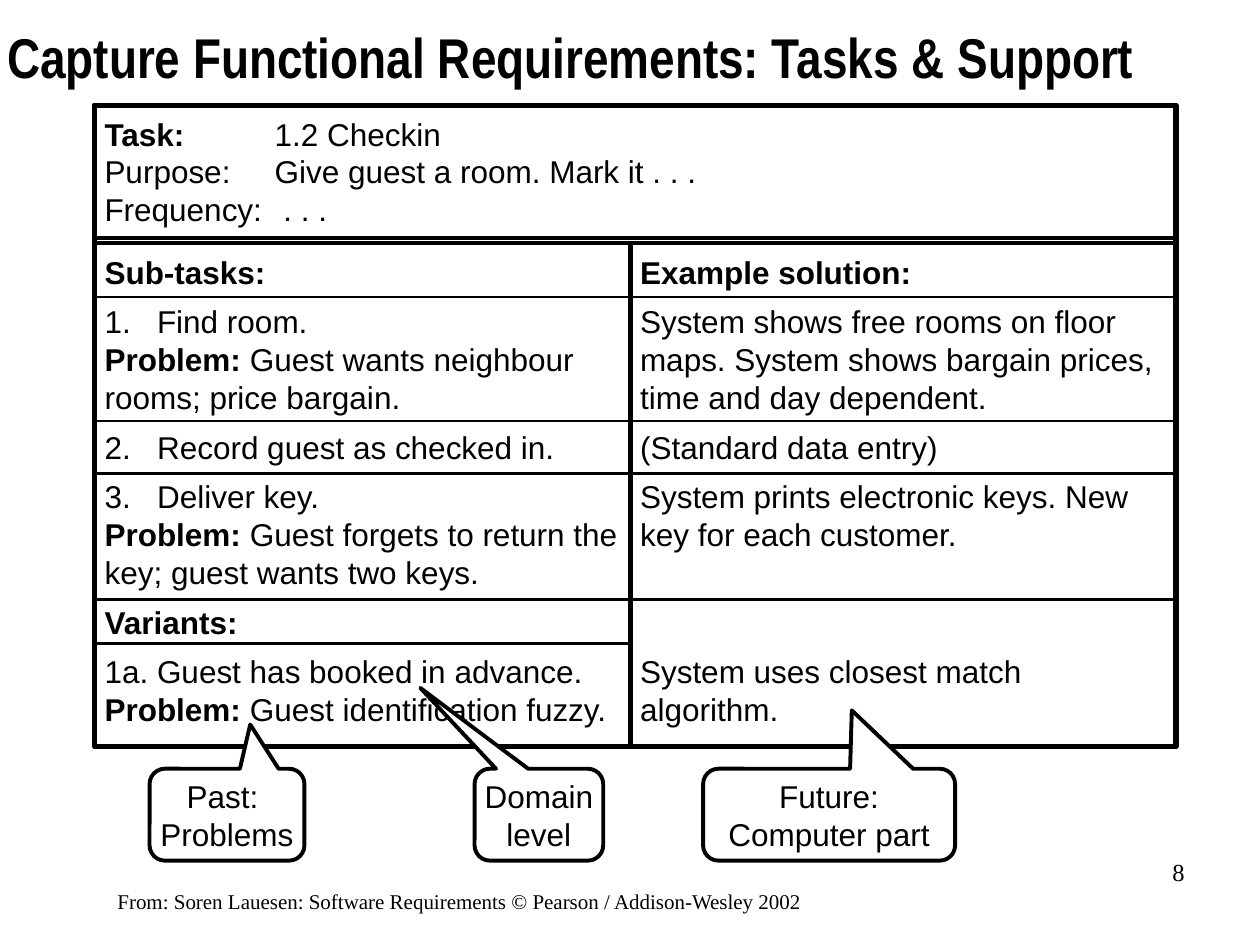
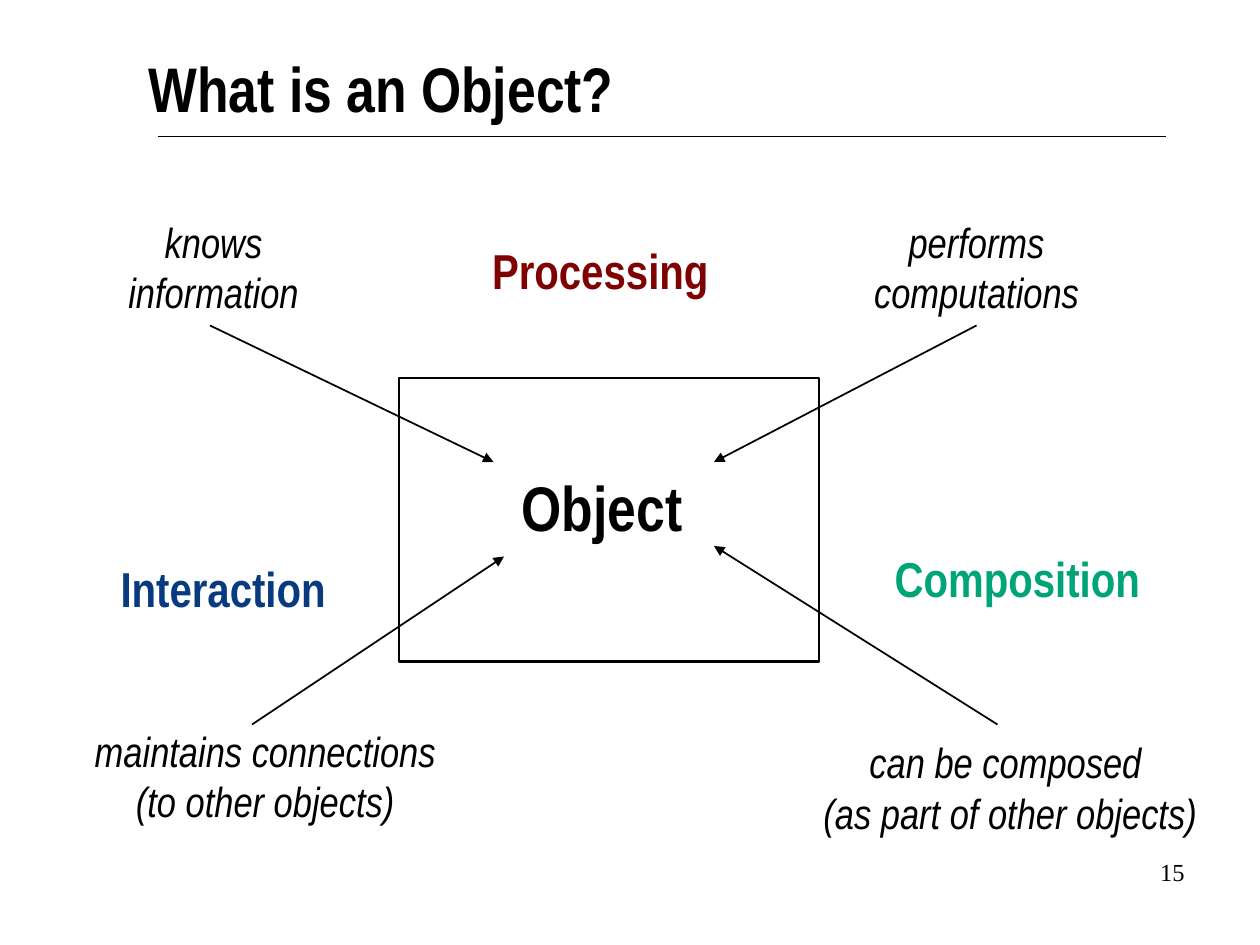
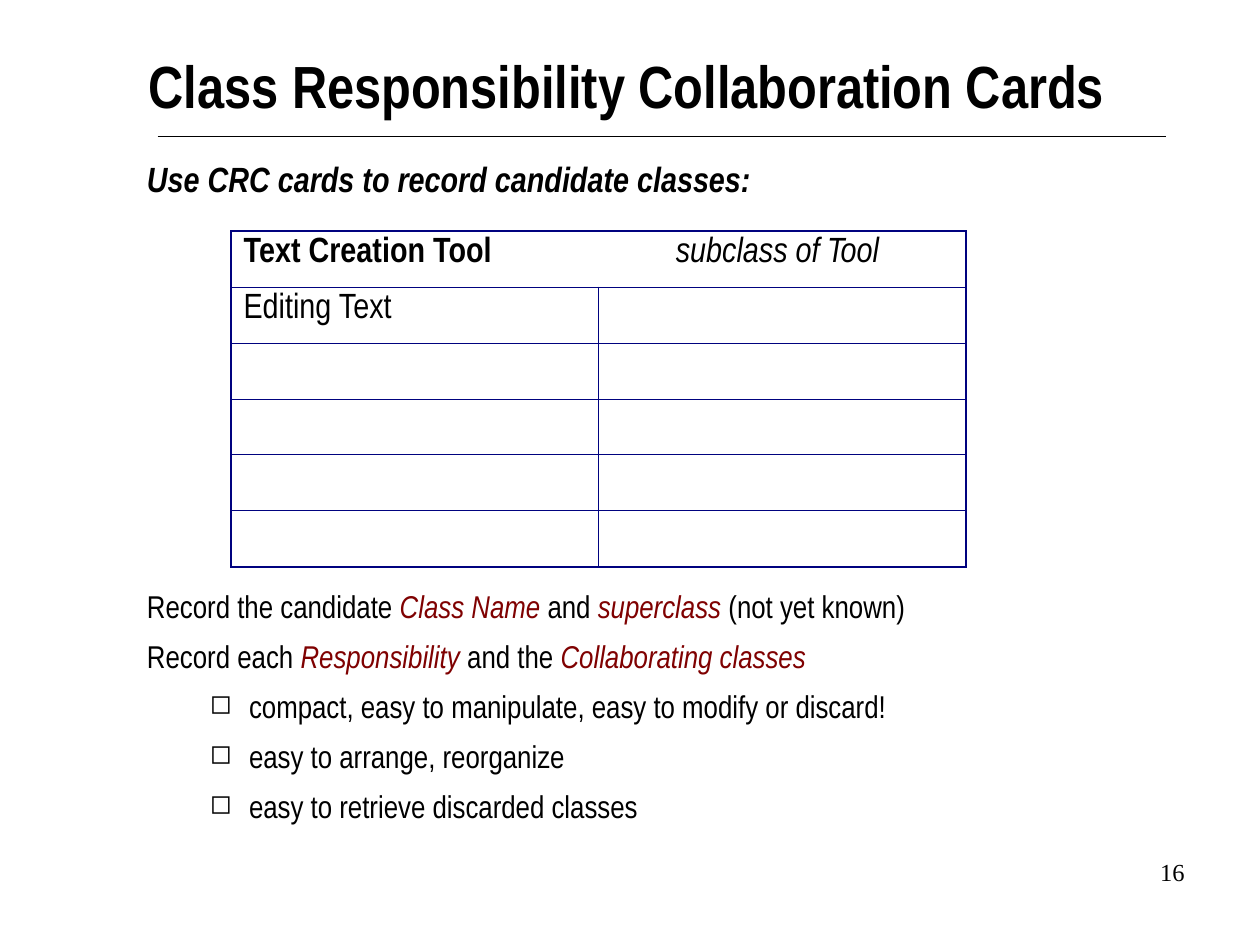
"""Build three slides on requirements, objects and CRC cards."""
from lxml import etree
from pptx import Presentation
from pptx.dml.color import RGBColor
from pptx.enum.shapes import MSO_CONNECTOR, MSO_SHAPE
from pptx.enum.text import MSO_ANCHOR, PP_ALIGN
from pptx.oxml.ns import qn
from pptx.util import Pt

RECT = MSO_SHAPE.RECTANGLE
CALLOUT = MSO_SHAPE.ROUNDED_RECTANGULAR_CALLOUT
STRAIGHT = MSO_CONNECTOR.STRAIGHT
LEFT, MID, RIGHT = PP_ALIGN.LEFT, PP_ALIGN.CENTER, PP_ALIGN.RIGHT
TOP, CENTRE = MSO_ANCHOR.TOP, MSO_ANCHOR.MIDDLE

BLACK, WHITE, RED, BLUE, GREEN, NAVY = "000000", "FFFFFF", "7F0101", "083A7F", "00A479", "00027F"
SANS, SLIM, SERIF = "Arial", "Arial Narrow", "Times New Roman"
BOLD, SLANT, TERM = {"bold": True}, {"italic": True}, {"italic": True, "color": RED}
GAP = {"after": 6.8}
PAD = (7.2, 3.6)

TASK = [
    [("Task:\t", BOLD), "1.2 Checkin"],
    "Purpose:\tGive guest a room. Mark it . . .",
    "Frequency:\t . . .",
]
STEPS = [
    ("Sub-tasks:", {**GAP, **BOLD}),
    "1.\tFind room.",
    ([("Problem:", BOLD), " Guest wants neighbour rooms; price bargain."], GAP),
    ("2.\tRecord guest as checked in.", GAP),
    "3.\tDeliver key.",
    ([("Problem:", BOLD), " Guest forgets to return the key; guest wants two keys."], GAP),
    ("Variants:", {**GAP, **BOLD}),
    "1a.\tGuest has booked in advance.",
    [("Problem:", BOLD), " Guest identification fuzzy."],
]
ANSWERS = [
    ("Example solution:", {**GAP, **BOLD}),
    ("System shows free rooms on floor maps. System shows bargain prices, "
     "time and day dependent.", GAP),
    ("(Standard data entry)", GAP),
    "System prints electronic keys. New key for each customer.",
    ("System uses closest match algorithm.", {"before": 56.8}),
]
PANELS = [
    ((54, 138.7, 306.5, 288), STEPS, None, 2.25),
    ((360, 138.7, 312, 288), ANSWERS, None, 2.25),
    ((54, 59.8, 618, 76.3), TASK, WHITE, 2.25),
    ((54, 60.5, 618, 366), [], None, 3),
]
RULES = [(169.7, 672), (240.5, 672), (270.7, 672), (342.7, 672), (367.8, 360)]
NOTES = [
    ((401.8, 144), ["Future:", "Computer part"], (0.09, -1.136)),
    ((85.5, 88.5), ["Past: ", "Problems"], (0.15, -0.982)),
    ((271.2, 73.5), ["Domain", "level"], (-0.923, -1.381)),
]
SOURCE = "From: Soren Lauesen: Software Requirements © Pearson / Addison-Wesley 2002"

TRAITS = [
    ((66, 120, 112, 65), ["knows", "information"]),
    ((492.5, 120, 131, 65), ["performs", "computations"]),
    ((47, 411, 209, 65), ["maintains connections", "(to other objects)"]),
    ((463.5, 417.5, 227.5, 65), ["can be composed ", "(as part of other objects)"]),
]
THEMES = [
    ((263.5, 134), "Processing", RED),
    ((48, 315.5), "Interaction", BLUE),
    ((501.8, 309.8), "Composition", GREEN),
]
ARROWS = [
    (120, 186, 282, 264), (144, 414, 288, 318),
    (558, 186, 408, 264), (570, 414, 408, 312),
]

ITEM = {"bullet": "◻"}
CARDS = [
    ("Use CRC cards to record candidate classes:",
     {"size": 20, "bold": True, "italic": True, "before": 0}),
    (["Record the candidate ", ("Class Name", TERM), " and ", ("superclass", TERM),
      " (not yet known)"], {"before": 224}),
    ["Record each ", ("Responsibility", TERM), " and the ", ("Collaborating classes", TERM)],
    ("compact, easy to manipulate, easy to modify or discard!", ITEM),
    ("easy to arrange, reorganize", ITEM),
    ("easy to retrieve discarded classes", ITEM),
]
GRID = (132, 132, 420, 192)
ROWS, COLS = 6, 2
CELLS = {
    (0, 0): [[("Text Creation Tool\t", BOLD), ("subclass of Tool", SLANT)]],
    (1, 0): ["Editing Text"],
}


def rgb(code):
    return RGBColor.from_string(code)


def add(node, tag, **attrs):
    return etree.SubElement(node, qn(tag), {k: str(v) for k, v in attrs.items()})


def write(frame, paras, pad=PAD, wrap=True, anchor=TOP, **base):
    frame.word_wrap, frame.vertical_anchor = wrap, anchor
    frame.margin_left = frame.margin_right = Pt(pad[0])
    frame.margin_top = frame.margin_bottom = Pt(pad[1])
    for i, item in enumerate(paras):
        runs, own = item if isinstance(item, tuple) else (item, {})
        fmt = {**base, **own}
        para = frame.paragraphs[0] if i == 0 else frame.add_paragraph()
        props = para._p.get_or_add_pPr()
        if "bullet" in fmt:
            props.set("marL", str(Pt(58.3)))
            props.set("indent", str(-Pt(22.3)))
            add(add(props, "a:buClr"), "a:srgbClr", val=BLACK)
            add(props, "a:buSzPct", val=85000)
            add(props, "a:buChar", char=fmt["bullet"])
        if "tabs" in fmt:
            stops = add(props, "a:tabLst")
            for stop in fmt["tabs"]:
                add(stops, "a:tab", pos=Pt(stop), algn="l")
        para.alignment = fmt.get("align", LEFT)
        para.space_before = Pt(fmt.get("before", 0))
        para.space_after = Pt(fmt.get("after", 0))
        para.line_spacing = fmt.get("line")
        for run in [runs] if isinstance(runs, str) else runs:
            words, look = run if isinstance(run, tuple) else (run, {})
            look = {**fmt, **look}
            part = para.add_run()
            part.text = words
            font = part.font
            font.name, font.size = look["font"], Pt(look["size"])
            font.bold, font.italic = look.get("bold", False), look.get("italic", False)
            font.color.rgb = rgb(look.get("color", BLACK))


def label(slide, box, paras, **fmt):
    write(slide.shapes.add_textbox(*map(Pt, box)).text_frame, paras, **fmt)


def shape(slide, kind, box, fill=None, width=2.25):
    form = slide.shapes.add_shape(kind, *map(Pt, box))
    form.shadow.inherit = False
    if fill:
        form.fill.solid()
        form.fill.fore_color.rgb = rgb(fill)
    else:
        form.fill.background()
    form.line.color.rgb, form.line.width = rgb(BLACK), Pt(width)
    return form


def line(slide, ends, width, arrow=False):
    link = slide.shapes.add_connector(STRAIGHT, *map(Pt, ends))
    link.line.color.rgb, link.line.width = rgb(BLACK), Pt(width)
    if arrow:
        add(link.line._get_or_add_ln(), "a:tailEnd", type="triangle")
    add(link._element.spPr, "a:effectLst")


def page(slide, num):
    label(slide, (534, 486, 150, 36), [num], font=SERIF, size=14, align=RIGHT)


def head(slide, title, size):
    line(slide, (90, 78, 666, 78), 0.75)
    label(slide, (85, 28, 551, 54), [title], pad=(0, 0), font=SLIM, size=size, bold=True)


def edge(cell, row, col):
    props = cell._tc.get_or_add_tcPr()
    sides = {"L": col == 0, "R": col == COLS - 1 or row == 0,
             "T": row == 0, "B": row == ROWS - 1}
    for side, outer in sides.items():
        rim = add(props, f"a:ln{side}", w=Pt(1.08 if outer else 0.45))
        add(add(rim, "a:solidFill"), "a:srgbClr", val=NAVY)
    cell.fill.background()


def tasks(slide):
    for box, paras, fill, width in PANELS:
        form = shape(slide, RECT, box, fill, width)
        write(form.text_frame, paras, pad=(5.76, 5.76), font=SANS, size=18, tabs=(30, 97.2))
    label(slide, (-3, 9.5, 666, 46), ["Capture Functional Requirements: Tasks & Support"],
          font=SLIM, size=32, bold=True)
    for y, end in RULES:
        line(slide, (54, y, end, y), 1.5)
    for (x, width), paras, tip in NOTES:
        note = shape(slide, CALLOUT, (x, 439.3, width, 52.5), WHITE)
        note.adjustments[0], note.adjustments[1] = tip
        write(note.text_frame, paras, pad=(2.88, 2.88), wrap=False, anchor=CENTRE,
              font=SANS, size=18, align=MID)
    label(slide, (60, 504, 642, 30), [SOURCE], font=SERIF, size=12)
    page(slide, "8")


def objects(slide):
    head(slide, "What is an Object?", 36)
    shape(slide, RECT, (228, 216, 240, 162), width=1.5)
    label(slide, (291, 264, 106, 50.5), ["Object"], pad=(0, 3.6),
          font=SLIM, size=36, bold=True, align=MID)
    for box, paras in TRAITS:
        label(slide, box, paras, pad=(0, 3.6), font=SLIM, size=24, italic=True, align=MID)
    for ends in ARROWS:
        line(slide, ends, 1, arrow=True)
    for spot, word, color in THEMES:
        label(slide, (*spot, 159, 41), [word], font=SLIM, size=28, bold=True,
              color=color, align=MID)
    page(slide, "15")


def cards(slide):
    head(slide, "Class Responsibility Collaboration Cards", 34)
    label(slide, (84, 84, 594, 396), CARDS, pad=(0, 0), anchor=CENTRE,
          font=SLIM, size=18, before=9, line=0.9)
    table = slide.shapes.add_table(ROWS, COLS, *map(Pt, GRID)).table
    table.first_row = table.horz_banding = False
    table.cell(0, 0).merge(table.cell(0, COLS - 1))
    for row in range(ROWS):
        for col in range(COLS):
            cell = table.cell(row, col)
            edge(cell, row, col)
            write(cell.text_frame, CELLS.get((row, col), []), font=SLIM, size=20, tabs=(247,))
    page(slide, "16")


def main():
    deck = Presentation()
    deck.slide_width, deck.slide_height = Pt(720), Pt(540)
    for build in (tasks, objects, cards):
        build(deck.slides.add_slide(deck.slide_layouts[6]))
    deck.save("out.pptx")


if __name__ == "__main__":
    main()
